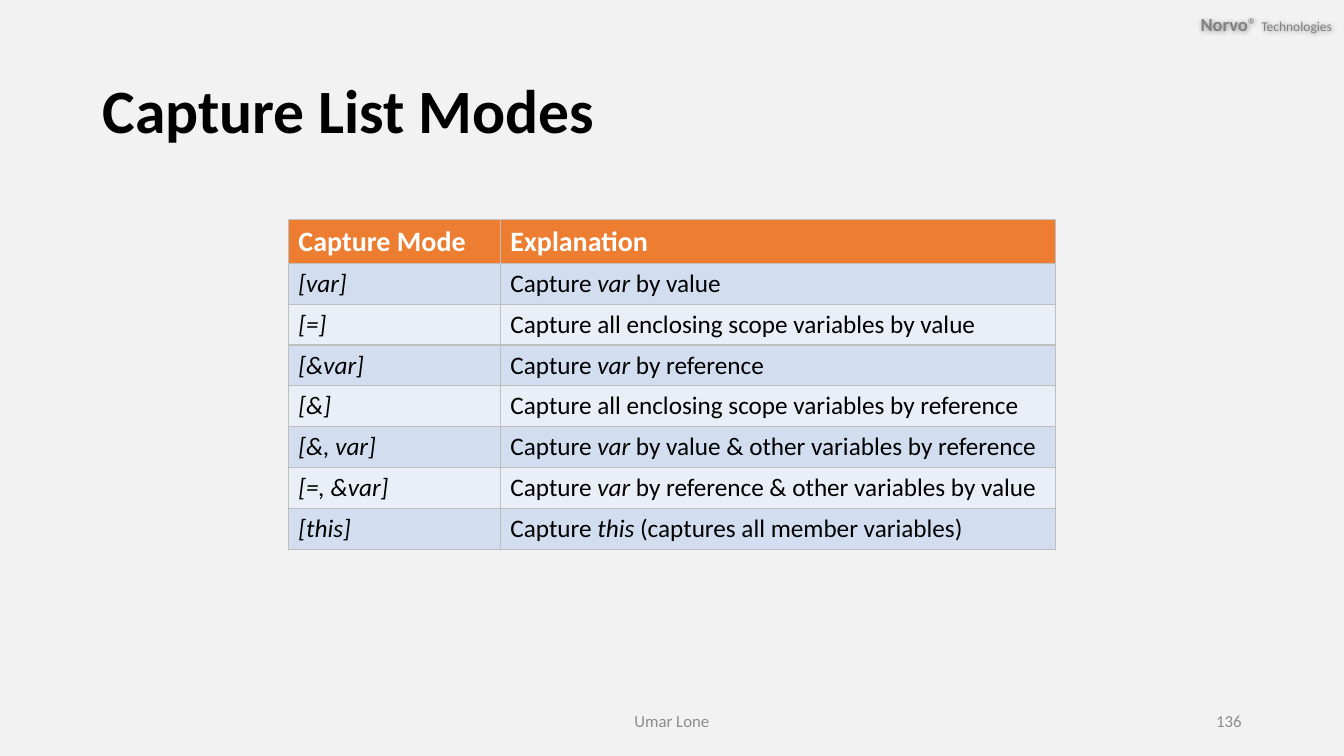
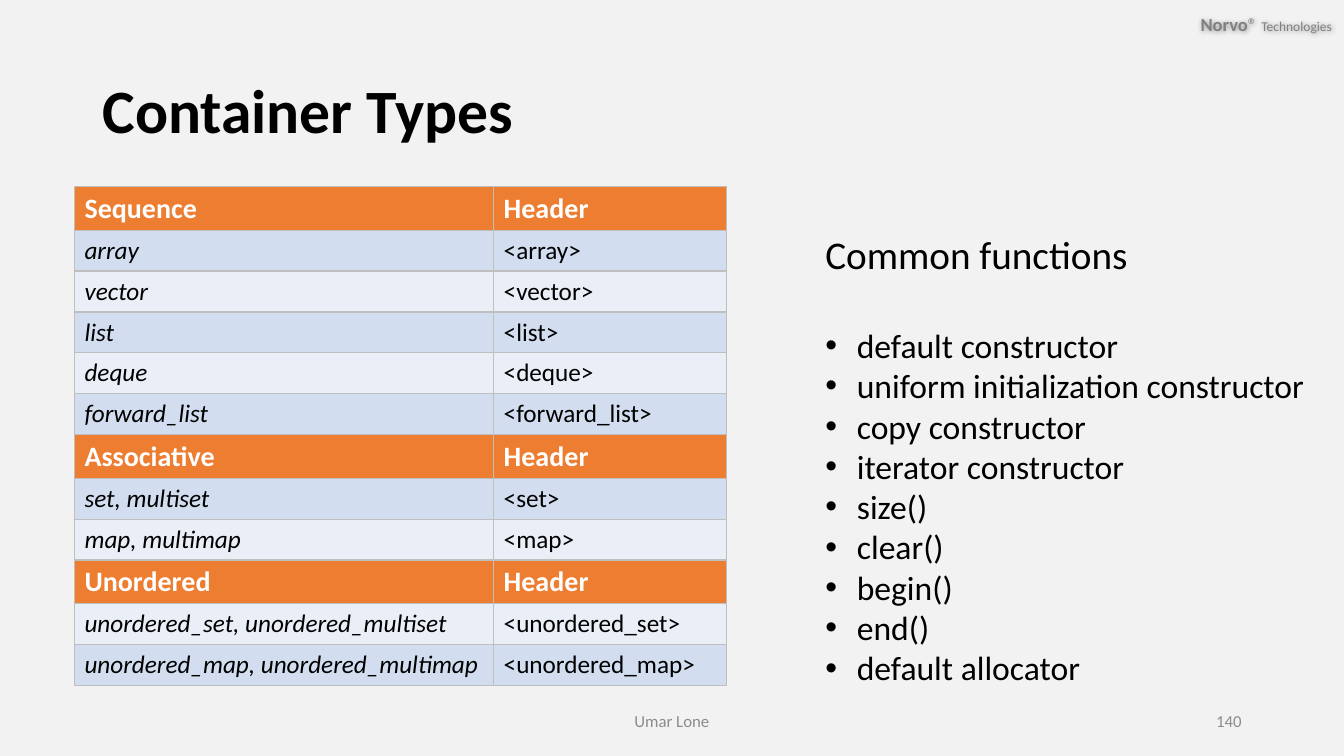
from dataclasses import dataclass

from lxml.etree import SubElement
from pptx import Presentation
from pptx.dml.color import RGBColor
from pptx.enum.text import MSO_ANCHOR as Anchor, MSO_AUTO_SIZE as AutoSize, PP_ALIGN as Align
from pptx.oxml import parse_xml
from pptx.oxml.ns import nsdecls, qn
from pptx.slide import Slide
from pptx.table import _Cell as Cell
from pptx.text.text import TextFrame, _Paragraph as Paragraph
from pptx.util import Pt


@dataclass(frozen=True)
class Theme:
    font: str = "Calibri"
    background: str = "F2F2F2"
    ink: str = "000000"
    header_ink: str = "FFFFFF"
    brand_ink: str = "808080"
    footer_ink: str = "8C8C8C"
    header_fill: str = "ED7D31"
    bands: tuple[str, str] = ("EAEFF7", "D2DEEF")
    border: str = "BFBFBF"
    title_size: float = 44
    heading_size: float = 28
    list_size: float = 24
    header_size: float = 20
    cell_size: float = 18
    brand_size: float = 13.2
    brand_small: float = 9.6
    footer_size: float = 12


@dataclass(frozen=True)
class Box:
    left: float
    top: float
    width: float
    height: float

    def lengths(self) -> tuple[Pt, Pt, Pt, Pt]:
        return Pt(self.left), Pt(self.top), Pt(self.width), Pt(self.height)


@dataclass(frozen=True)
class Section:
    header: tuple[str, str]
    rows: tuple[tuple[str, str], ...]


@dataclass(frozen=True)
class Grid:
    left: float
    top: float
    columns: tuple[float, float]
    sections: tuple[Section, ...]


@dataclass(frozen=True)
class Page:
    title: str
    number: int
    grid: Grid
    functions: tuple[str, ...] = ()


THEME = Theme()
TITLE_BOX = Box(66, 28.8, 828, 104.4)
BRAND_BOX = Box(821, 0.7, 139, 32.4)
AUTHOR_BOX = Box(318, 500.4, 324, 28.8)
NUMBER_BOX = Box(678, 500.4, 216, 28.8)
FUNCTIONS_BOX = Box(582.5, 160.6, 374, 337)
ROW_HEIGHT = 29.2
BULLET_INDENT = 22.5

PAGES = (
    Page("Capture List Modes", 136, Grid(206, 156.8, (151.4, 396.4), (
        Section(("Capture Mode", "Explanation"), (
            ("*[var]*", "Capture *var* by value"),
            ("*[=]*", "Capture all enclosing scope variables by value"),
            ("*[&var]*", "Capture *var* by reference"),
            ("*[&]*", "Capture all enclosing scope variables by reference"),
            ("*[&, var]*", "Capture *var* by value & other variables by reference"),
            ("*[=, &var]*", "Capture *var* by reference & other variables by value"),
            ("*[this]*", "Capture *this* (captures all member variables)"),
        )),
    ))),
    Page("Container Types", 140, Grid(53.2, 133.2, (299.4, 166.4), (
        Section(("Sequence", "Header"), (
            ("*array*", "<array>"),
            ("*vector*", "<vector>"),
            ("*list*", "<list>"),
            ("*deque*", "<deque>"),
            ("*forward_list*", "<forward_list>"),
        )),
        Section(("Associative", "Header"), (
            ("*set, multiset*", "<set>"),
            ("*map, multimap*", "<map>"),
        )),
        Section(("Unordered", "Header"), (
            ("*unordered_set, unordered_multiset*", "<unordered_set>"),
            ("*unordered_map, unordered_multimap*", "<unordered_map>"),
        )),
    )), (
        "default constructor",
        "uniform initialization constructor",
        "copy constructor",
        "iterator constructor",
        "size()",
        "clear()",
        "begin()",
        "end()",
        "default allocator",
    )),
)


def add_run(paragraph: Paragraph, text: str, size: float, color: str,
            bold: bool = False, italic: bool = False) -> None:
    run = paragraph.add_run()
    run.text = text
    formats = {"name": THEME.font, "size": Pt(size), "bold": bold, "italic": italic}
    for attribute, value in formats.items():
        setattr(run.font, attribute, value)
    run.font.color.rgb = RGBColor.from_string(color)


def add_text_frame(slide: Slide, box: Box, anchor: Anchor = Anchor.MIDDLE,
                   align: Align = Align.LEFT) -> TextFrame:
    frame = slide.shapes.add_textbox(*box.lengths()).text_frame
    frame.word_wrap = True
    frame.vertical_anchor = anchor
    frame.paragraphs[0].alignment = align
    return frame


def set_title(slide: Slide, text: str) -> None:
    title = slide.shapes.title
    title.left, title.top, title.width, title.height = TITLE_BOX.lengths()
    frame = title.text_frame
    formats = {"auto_size": AutoSize.NONE, "word_wrap": True,
               "vertical_anchor": Anchor.MIDDLE}
    for attribute, value in formats.items():
        setattr(frame, attribute, value)
    heading = frame.paragraphs[0]
    heading.alignment = Align.LEFT
    heading.line_spacing = 0.9
    add_run(heading, text, THEME.title_size, THEME.ink, bold=True)


def add_brand(slide: Slide) -> None:
    brand = slide.shapes.add_textbox(*BRAND_BOX.lengths())
    frame = brand.text_frame
    formats = {"word_wrap": True, "vertical_anchor": Anchor.MIDDLE,
               "margin_left": Pt(8.64), "margin_right": Pt(8.64),
               "margin_top": Pt(4.32), "margin_bottom": Pt(4.32)}
    for attribute, value in formats.items():
        setattr(frame, attribute, value)
    line = frame.paragraphs[0]
    line.alignment = Align.RIGHT
    add_run(line, "Norvo", THEME.brand_size, THEME.brand_ink, bold=True)
    add_run(line, "® ", THEME.brand_size, THEME.brand_ink)
    add_run(line, "Technologies", THEME.brand_small, THEME.brand_ink)
    brand.element.spPr.append(parse_xml(
        f'<a:effectLst {nsdecls("a")}>'
        f'<a:outerShdw blurRad="{Pt(4)}" dist="{Pt(1)}" dir="2700000">'
        f'<a:srgbClr val="{THEME.ink}"><a:alpha val="40000"/></a:srgbClr>'
        '</a:outerShdw></a:effectLst>'))


def add_footer(slide: Slide, number: int) -> None:
    for text, box, align in (("Umar Lone", AUTHOR_BOX, Align.CENTER),
                             (str(number), NUMBER_BOX, Align.RIGHT)):
        frame = add_text_frame(slide, box, align=align)
        add_run(frame.paragraphs[0], text, THEME.footer_size, THEME.footer_ink)


def set_borders(cell: Cell) -> None:
    properties = cell._tc.get_or_add_tcPr()
    for position, side in enumerate(("lnL", "lnR", "lnT", "lnB")):
        properties.insert(position, parse_xml(
            f'<a:{side} {nsdecls("a")} w="{Pt(1)}"><a:solidFill>'
            f'<a:srgbClr val="{THEME.border}"/></a:solidFill></a:{side}>'))


def fill_cell(cell: Cell, text: str, row: int, is_header: bool) -> None:
    cell.fill.solid()
    fill = THEME.header_fill if is_header else THEME.bands[row % 2]
    cell.fill.fore_color.rgb = RGBColor.from_string(fill)
    set_borders(cell)
    size, ink = ((THEME.header_size, THEME.header_ink) if is_header
                 else (THEME.cell_size, THEME.ink))
    for index, part in enumerate(text.split("*")):
        if part:
            add_run(cell.text_frame.paragraphs[0], part, size, ink,
                    bold=is_header, italic=index % 2 == 1)


def add_grid(slide: Slide, grid: Grid) -> None:
    rows = [(texts, texts is section.header)
            for section in grid.sections
            for texts in (section.header, *section.rows)]
    box = Box(grid.left, grid.top, sum(grid.columns), ROW_HEIGHT * len(rows))
    table = slide.shapes.add_table(len(rows), len(grid.columns), *box.lengths()).table
    table.first_row = table.horz_banding = False
    for column, width in zip(table.columns, grid.columns):
        column.width = Pt(width)
    for row, (texts, is_header) in enumerate(rows):
        table.rows[row].height = Pt(ROW_HEIGHT)
        for column, text in enumerate(texts):
            fill_cell(table.cell(row, column), text, row, is_header)


def add_functions(slide: Slide, functions: tuple[str, ...]) -> None:
    frame = add_text_frame(slide, FUNCTIONS_BOX, Anchor.TOP)
    heading = frame.paragraphs[0]
    heading.space_after = Pt(34.2)
    add_run(heading, "Common functions", THEME.heading_size, THEME.ink)
    for function in functions:
        item = frame.add_paragraph()
        add_run(item, function, THEME.list_size, THEME.ink)
        properties = item._p.get_or_add_pPr()
        properties.set("marL", str(Pt(BULLET_INDENT)))
        properties.set("indent", str(-Pt(BULLET_INDENT)))
        SubElement(properties, qn("a:buFont"), typeface="Arial")
        SubElement(properties, qn("a:buChar"), char="•")


def main() -> None:
    deck = Presentation()
    deck.slide_width, deck.slide_height = Pt(960), Pt(540)
    backdrop = deck.slide_master.background.fill
    backdrop.solid()
    backdrop.fore_color.rgb = RGBColor.from_string(THEME.background)
    for page in PAGES:
        slide = deck.slides.add_slide(deck.slide_layouts[5])
        add_brand(slide)
        set_title(slide, page.title)
        add_grid(slide, page.grid)
        if page.functions:
            add_functions(slide, page.functions)
        add_footer(slide, page.number)
    deck.save("out.pptx")


if __name__ == "__main__":
    main()
